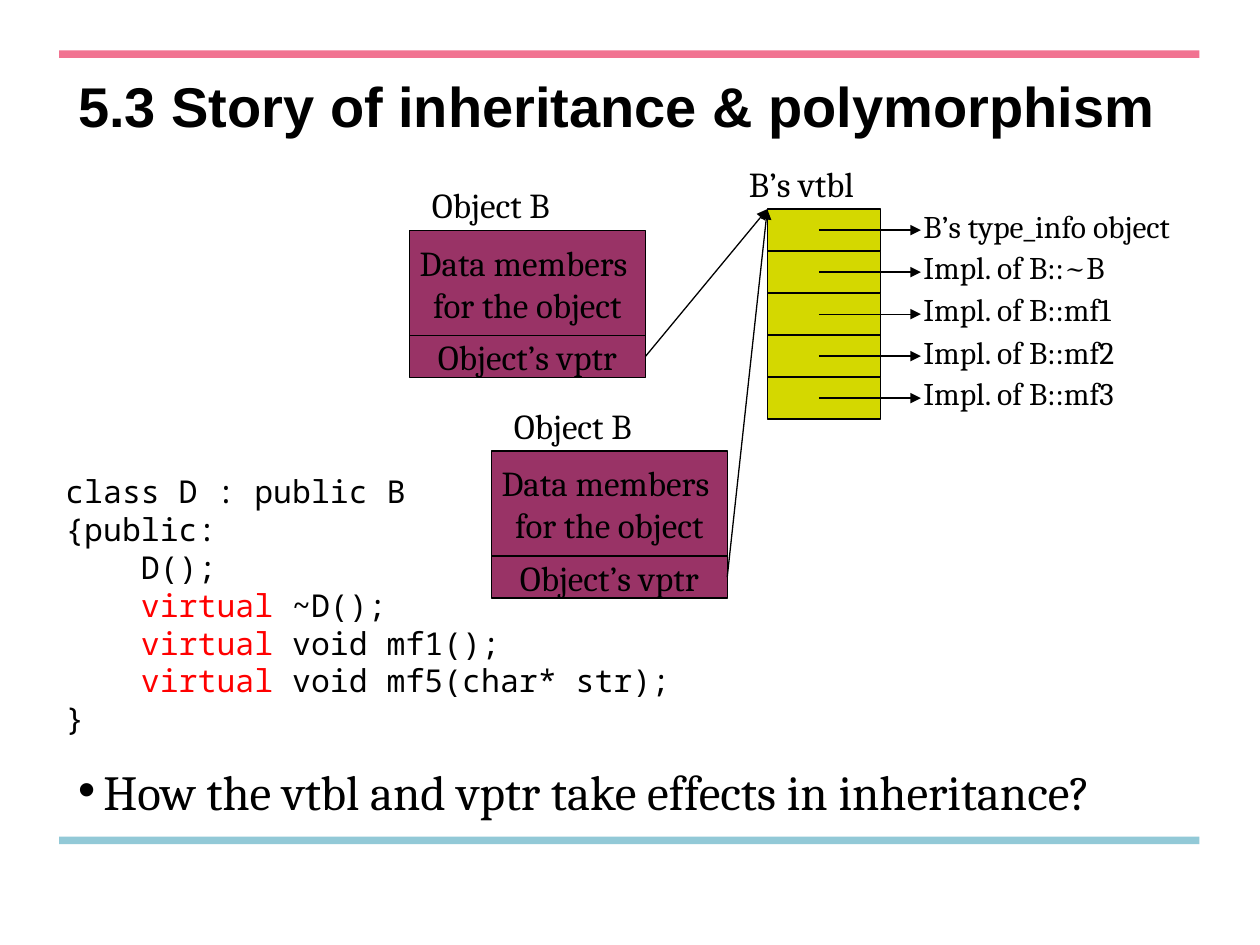
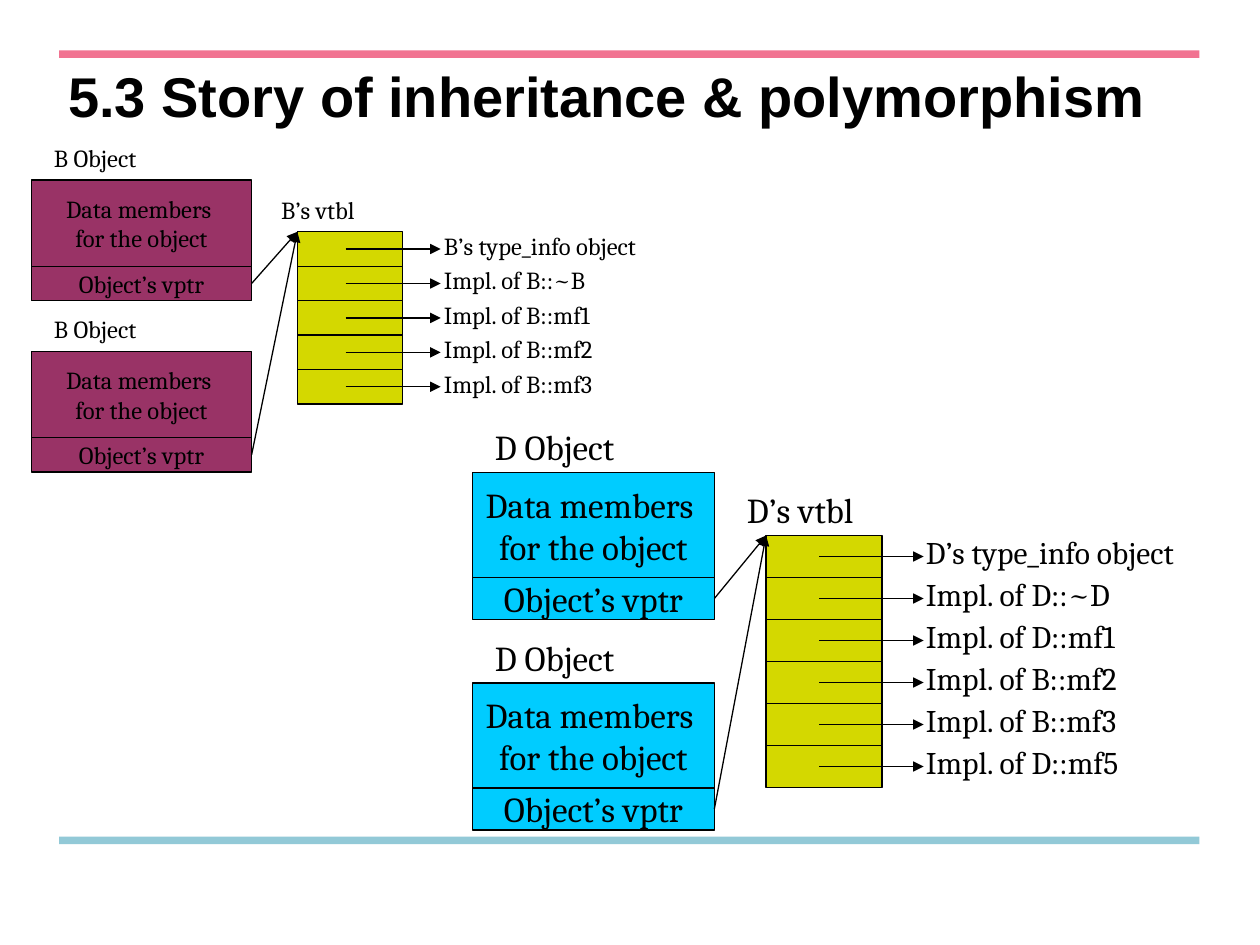
"""Build two slides on how vtbl and vptr behave under inheritance."""
from dataclasses import dataclass

from lxml import etree
from pptx import Presentation
from pptx import util as u
from pptx.dml.color import RGBColor
from pptx.enum import shapes, text
from pptx.oxml.ns import qn


@dataclass(frozen=True)
class Theme:
    ink: str = "000000"
    keyword: str = "FF0000"
    base: str = "993366"
    derived: str = "00CCFF"
    table: str = "D4D800"
    top_band: str = "F17391"
    bottom_band: str = "92C9D7"
    title_font: str = "Arial"
    body_font: str = "Cambria"
    code_font: str = "Noto Sans Mono"
    title_size: int = 32
    bullet_size: int = 28
    large: int = 20
    medium: int = 18
    small: int = 14


T = Theme()
TITLE = "5.3 Story of inheritance & polymorphism"
BULLET = "How the vtbl and vptr take effects in inheritance?"
BANDS = [(0.4, T.top_band), (6.64, T.bottom_band)]
OBJECT_DATA = ["Data members ", "for the object"]
OBJECT_POINTER = "Object’s vptr"
B_ENTRIES = ["B’s type_info object", "Impl. of B::~B", "Impl. of B::mf1",
             "Impl. of B::mf2", "Impl. of B::mf3"]
D_ENTRIES = ["D’s type_info object", "Impl. of D::~D", "Impl. of D::mf1",
             "Impl. of B::mf2", "Impl. of B::mf3", "Impl. of D::mf5"]
CODE_HEAD = ["class D : public B", "{public:"]
CODE_MEMBERS = [
    "D();",
    [("virtual", T.keyword), (" ~D();", T.ink)],
    [("virtual", T.keyword), (" void mf1();", T.ink)],
    [("virtual", T.keyword), (" void mf5(char* str);", T.ink)],
]
CODE_TAIL = ["}"]

SLIDES = [
    dict(title_at=(0.52, 0.58, 9.4, 0.74), layout=1, diagrams=[
        dict(name="Object B", objects=[(3.25, 1.83), (3.9, 3.58)], fill=T.base,
             vtbl="B’s vtbl", vtbl_at=(6.09, 1.66), entries=B_ENTRIES,
             scale=(0.975, 1), size=T.large, entry_size=T.medium)]),
    dict(title_at=(0.44, 0.5, 9.4, 0.88), layout=5, diagrams=[
        dict(name="B Object", objects=[(0.25, 1.43), (0.25, 2.79)], fill=T.base,
             vtbl="B’s vtbl", vtbl_at=(2.36, 1.84), entries=B_ENTRIES,
             scale=(0.91, 0.82), size=T.small, entry_size=T.small),
        dict(name="D Object", objects=[(3.75, 3.75), (3.75, 5.42)], fill=T.derived,
             vtbl="D’s vtbl", vtbl_at=(6.08, 4.25), entries=D_ENTRIES,
             scale=(1, 1), size=T.large, entry_size=T.medium)]),
]


def inches(*values):
    return [u.Inches(v) for v in values]


def write(tf, lines, size=T.large, font=T.body_font, bold=False, wrap=True,
          align=text.PP_ALIGN.LEFT, anchor=text.MSO_ANCHOR.TOP, spacing=None,
          indents=None, hanging=0):
    tf.word_wrap = wrap
    tf.auto_size = text.MSO_AUTO_SIZE.NONE
    tf.vertical_anchor = anchor
    for i, line in enumerate(lines):
        p = tf.paragraphs[0] if i == 0 else tf.add_paragraph()
        p.alignment = align
        p.space_before = u.Pt(0)
        if spacing:
            p.line_spacing = spacing
        if indents:
            ppr = p._p.get_or_add_pPr()
            ppr.set("marL", str(u.Inches(indents[i])))
            ppr.set("indent", str(u.Inches(-hanging)))
        for run, color in [(line, T.ink)] if isinstance(line, str) else line:
            r = p.add_run()
            r.text = run
            r.font.size, r.font.name, r.font.bold = u.Pt(size), font, bold
            r.font.color.rgb = RGBColor.from_string(color)


def add_box(parent, at, fill, outlined=True):
    sp = parent.add_shape(shapes.MSO_SHAPE.RECTANGLE, *inches(*at))
    sp.shadow.inherit = False
    sp.fill.solid()
    sp.fill.fore_color.rgb = RGBColor.from_string(fill)
    if outlined:
        sp.line.color.rgb = RGBColor.from_string(T.ink)
        sp.line.width = u.Pt(0.75)
    else:
        sp.line.fill.background()
    return sp


def add_label(parent, at, *lines, **style):
    write(parent.add_textbox(*inches(*at)).text_frame, lines, **style)


def add_arrow(parent, start, end):
    c = parent.add_connector(shapes.MSO_CONNECTOR.STRAIGHT, *inches(*start, *end))
    c.line.color.rgb = RGBColor.from_string(T.ink)
    c.line.width = u.Pt(0.75)
    etree.SubElement(c.line._get_or_add_ln(), qn("a:tailEnd"), type="triangle")
    etree.SubElement(c._element.spPr, qn("a:effectLst"))


def add_diagram(s, name, objects, fill, vtbl, vtbl_at, entries, scale, size, entry_size):
    parent = s.shapes.add_group_shape().shapes
    sx, sy = scale
    row, cell, width = sy / 3, 0.92 * sx, 1.92 * sx
    left, top = vtbl_at
    right = left + cell
    for i, entry in enumerate(entries):
        y = top + i * row
        add_box(parent, (left, y, cell, row), T.table)
        add_arrow(parent, (left + 0.42 * sx, y + row / 2), (right + 0.33 * sx, y + row / 2))
        add_label(parent, (right + 0.25 * sx, y - 0.07 * sy, 2.6 * sx, 0.4 * sy),
                  entry, size=entry_size)
    add_label(parent, (left - 0.25 * sx, top - 0.42 * sy, 2.3 * sx, 0.43 * sy), vtbl, size=size)
    for x, y in objects:
        pointer_y = y + 2.5 * row
        parts = [(y, 2.5 * row, OBJECT_DATA), (pointer_y, row, [OBJECT_POINTER])]
        for part_y, height, lines in parts:
            sp = add_box(parent, (x, part_y, width, height), fill)
            write(sp.text_frame, lines, size=size, wrap=False,
                  align=text.PP_ALIGN.CENTER, anchor=text.MSO_ANCHOR.MIDDLE)
        add_label(parent, (x + 0.08, y - 0.42 * sy, 1.58 * sx, 0.43 * sy), name, size=size)
        add_arrow(parent, (x + width, pointer_y + row / 2), vtbl_at)


def place(sp, at):
    sp.left, sp.top, sp.width, sp.height = inches(*at)
    return sp.text_frame


def add_bands(prs, s):
    for i, (y, color) in enumerate(BANDS):
        band = add_box(s.shapes, (0.47, y, 9.05, 0.06), color, outlined=False)
        band._element.nvSpPr.cNvPr.set("id", str(101 + i))
        prs.slide_master.shapes.element.append(band._element)


def add_code_and_question(s):
    code = CODE_HEAD + CODE_MEMBERS + CODE_TAIL
    indents = [0.6 if line in CODE_MEMBERS else 0 for line in code]
    add_label(s.shapes, (0.42, 3.7, 5.42, 2.22), *code, size=T.medium,
              font=T.code_font, indents=indents)
    write(place(s.placeholders[1], (0.52, 6.08, 9.4, 0.58)), [BULLET],
          size=T.bullet_size, spacing=0.8, indents=[0.2], hanging=0.2)


def main():
    prs = Presentation()
    prs.slide_width, prs.slide_height = inches(10, 7.5)
    for page in SLIDES:
        s = prs.slides.add_slide(prs.slide_layouts[page["layout"]])
        write(place(s.shapes.title, page["title_at"]), [TITLE], size=T.title_size,
              font=T.title_font, bold=True, spacing=u.Pt(34))
        for diagram in page["diagrams"]:
            add_diagram(s, **diagram)
    first = prs.slides[0]
    add_bands(prs, first)
    add_code_and_question(first)
    prs.save("out.pptx")


if __name__ == "__main__":
    main()
